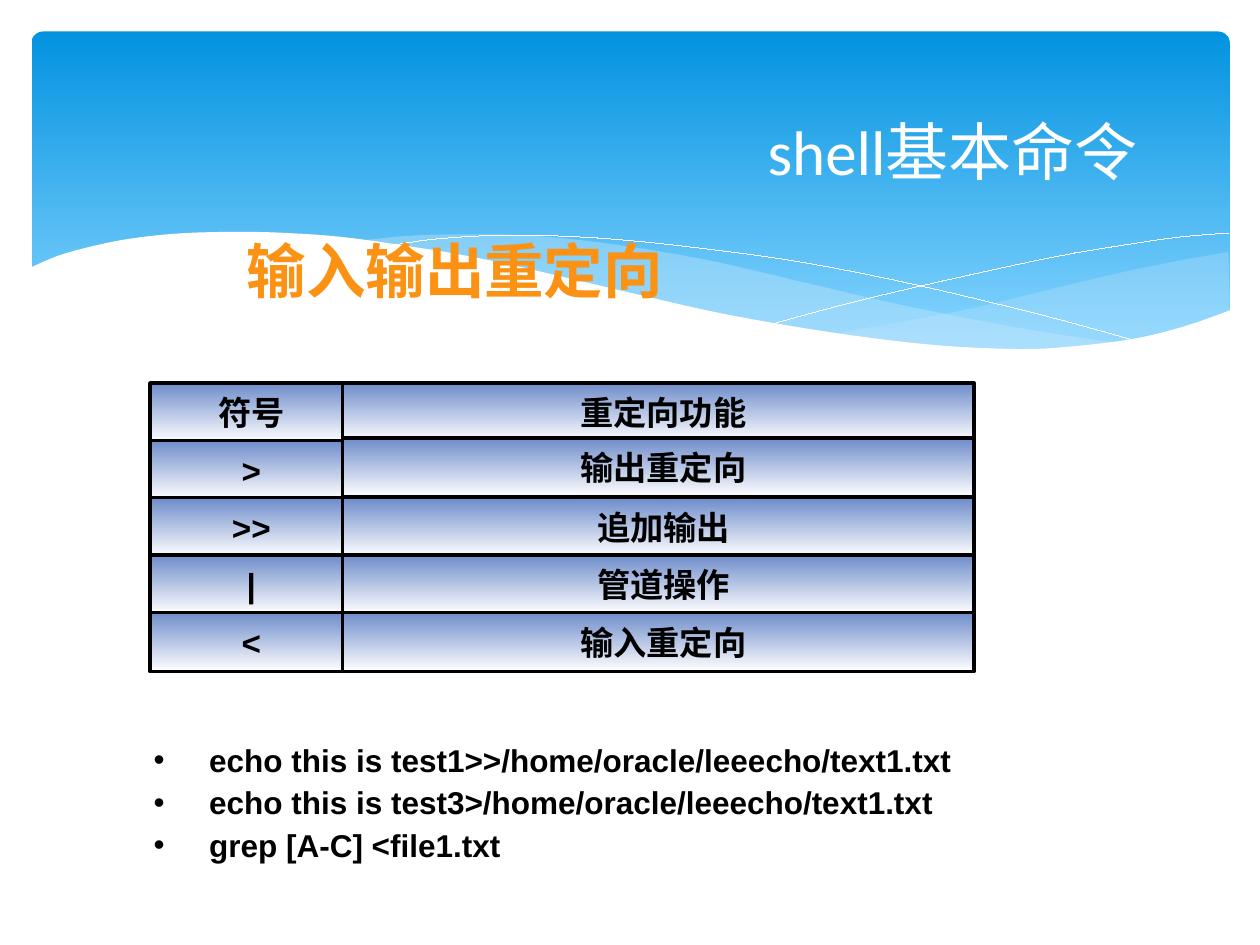
from dataclasses import dataclass

from lxml.etree import SubElement
from pptx import Presentation
from pptx.dml.color import RGBColor
from pptx.dml.fill import FillFormat
from pptx.enum.shapes import MSO_SHAPE as Preset
from pptx.enum.text import MSO_ANCHOR as Anchor, PP_ALIGN as Align
from pptx.oxml.ns import qn
from pptx.util import Inches, Pt

Point = tuple[float, float]


@dataclass
class Wave:
    """A smooth crest, closed by straight corners when it has a fill."""
    crests: list[list[Point]]
    corners: list[Point]
    fill: str | None = None
    opacity: int = 100


@dataclass
class Redirection:
    symbol: str
    purpose: str
    purpose_shift: float = 0


WAVES = [
    Wave([[(9.75, 2), (9.35, 2.07), (8.91, 2.16), (8.32, 2.3), (7.79, 2.43),
           (7.29, 2.53), (6.61, 2.65)],
          [(6.61, 2.65), (7.05, 2.71), (7.57, 2.76), (8.14, 2.78), (8.63, 2.75),
           (9.05, 2.69), (9.42, 2.59), (9.76, 2.47)]],
         [], "C6E7FC", 29),
    Wave([[(8.93, 2.73), (8.37, 2.65), (7.75, 2.54), (7.06, 2.4), (6.29, 2.22),
           (5.69, 2.08), (5.14, 1.98), (4.64, 1.91), (4.2, 1.87), (3.8, 1.86),
           (3.28, 1.87), (2.86, 1.91)],
          [(2.86, 1.91), (3.42, 1.99), (4.04, 2.11), (4.91, 2.32), (5.66, 2.48),
           (6.34, 2.61), (6.95, 2.7), (7.48, 2.76), (8.07, 2.79), (8.57, 2.77),
           (8.93, 2.73)]],
         [], "C6E7FC", 40),
    Wave([[(3.09, 1.95), (3.43, 1.9), (3.87, 1.87), (4.33, 1.87), (4.89, 1.9),
           (5.56, 1.97), (6.36, 2.08), (7.27, 2.26), (8.31, 2.51), (9.07, 2.72)]], []),
    Wave([[(6.13, 2.57), (6.72, 2.41), (7.48, 2.23), (8.36, 2.04), (8.95, 1.94),
           (9.37, 1.88), (9.75, 1.85)]], []),
    Wave([[(9.77, 2.46), (9.4, 2.59), (8.99, 2.69), (8.5, 2.75), (8.09, 2.77),
           (7.44, 2.74), (6.68, 2.65), (5.79, 2.5), (5.03, 2.33), (4.18, 2.13),
           (3.65, 2.02), (3.15, 1.94), (2.71, 1.88), (2.3, 1.85), (1.93, 1.84),
           (1.46, 1.85), (1.06, 1.89), (0.75, 1.95), (0.46, 2.03), (0.23, 2.13)]],
         [(0.23, 3.29), (9.77, 3.29)], "FFFFFF"),
]

REDIRECTIONS = [
    Redirection("符号", "重定向功能"),
    Redirection(">", "输出重定向", purpose_shift=-0.02),
    Redirection(">>", "追加输出"),
    Redirection("|", "管道操作"),
    Redirection("<", "输入重定向"),
]
GRID_LEFT, GRID_TOP = 1.19, 3.04
SYMBOL_WIDTH, PURPOSE_WIDTH = 1.53, 5.01
ROW_PITCH = 1.82 / (len(REDIRECTIONS) - 1)
BOX_HEIGHT = 0.47

EXAMPLES = [
    "echo this is test1>>/home/oracle/leeecho/text1.txt",
    "echo this is test3>/home/oracle/leeecho/text1.txt",
    "grep [A-C] <file1.txt",
]


def rgb(color: str) -> RGBColor:
    return RGBColor.from_string(color)


def fill_downwards(fill: FillFormat, top: str, bottom: str, end: float = 1) -> None:
    """Apply a vertical gradient that reaches the bottom colour at end."""
    fill.gradient()
    fill.gradient_angle = 270
    first, last = fill.gradient_stops
    first.color.rgb, last.color.rgb = rgb(top), rgb(bottom)
    first.position, last.position = 0, end


def style(paragraph, size: float, font: str, color: str, bold: bool = False) -> None:
    for run in paragraph.runs:
        run.font.size, run.font.name, run.font.bold = Pt(size), font, bold
        run.font.color.rgb = rgb(color)


def clear_insets(frame) -> None:
    frame.margin_left = frame.margin_right = frame.margin_top = frame.margin_bottom = 0


def smooth_curve(knots: list[Point], steps: int = 4) -> list[Point]:
    """Interpolate the knots with a Catmull-Rom spline."""
    padded = [knots[0], *knots, knots[-1]]
    curve = [knots[0]]
    for a, b, c, d in zip(padded, padded[1:], padded[2:], padded[3:]):
        for step in range(1, steps + 1):
            t = step / steps
            curve.append(tuple(
                0.5 * (2 * q + (r - p) * t + (2 * p - 5 * q + 4 * r - s) * t ** 2
                       + (3 * q - p - 3 * r + s) * t ** 3)
                for p, q, r, s in zip(a, b, c, d)))
    return curve


def draw_wave(shapes, wave: Wave) -> None:
    outline = [point for crest in wave.crests for point in smooth_curve(crest)]
    start, *rest = [(Inches(x), Inches(y)) for x, y in outline + wave.corners]
    builder = shapes.build_freeform(*start)
    builder.add_line_segments(rest, close=wave.fill is not None)
    shape = builder.convert_to_shape()
    shape.shadow.inherit = False
    if wave.fill is None:
        shape.fill.background()
        shape.line.color.rgb = rgb("FFFFFF")
        shape.line.width = Pt(0)
        shape.line._ln.set("w", "0")
        return
    shape.line.fill.background()
    shape.fill.solid()
    shape.fill.fore_color.rgb = rgb(wave.fill)
    if wave.opacity < 100:
        color = shape._element.spPr.find(qn("a:solidFill")).find(qn("a:srgbClr"))
        SubElement(color, qn("a:alpha"), val=str(wave.opacity * 1000))


def draw_banner(shapes) -> None:
    sky = shapes.add_shape(Preset.ROUNDED_RECTANGLE, Inches(0.25), Inches(0.25),
                           Inches(9.51), Inches(2.7))
    sky.adjustments[0] = 0.034
    sky.shadow.inherit = False
    sky.line.fill.background()
    fill_downwards(sky.fill, "0293E0", "83D3FE", 0.9)
    for wave in WAVES:
        draw_wave(shapes, wave)


def place_title(slide) -> None:
    title = slide.shapes.title
    slide.shapes._spTree.append(title._element)  # in front of the banner
    title.left, title.top = Inches(5.39), Inches(0.84)
    title.width, title.height = Inches(4.11), Inches(0.71)
    frame = title.text_frame
    frame.text = "shell基本命令"
    frame.margin_left = Inches(0.33)
    frame.vertical_anchor = Anchor.MIDDLE
    frame.paragraphs[0].alignment = Align.CENTER
    style(frame.paragraphs[0], 36, "Calibri", "FFFFFF")


def add_text_frame(shapes, left: float, top: float, width: float, height: float):
    """Add a wrapping text box without insets and return its frame."""
    frame = shapes.add_textbox(Inches(left), Inches(top),
                               Inches(width), Inches(height)).text_frame
    frame.word_wrap = True
    clear_insets(frame)
    return frame


def draw_subtitle(shapes) -> None:
    frame = add_text_frame(shapes, 1.85, 1.86, 3.54, 0.57)
    frame.margin_left = Inches(0.11)
    frame.text = "输入输出重定向"
    style(frame.paragraphs[0], 34, "Lato", "FB9214", bold=True)


def draw_examples(shapes) -> None:
    frame = add_text_frame(shapes, 1.22, 5.88, 7.01, 1.34)
    frame.text = "\n".join(EXAMPLES)
    for paragraph in frame.paragraphs:
        paragraph.space_after = Pt(2.7)
        properties = paragraph._p.get_or_add_pPr()
        properties.set("marL", str(Inches(0.44)))
        properties.set("indent", str(-Inches(0.44)))
        SubElement(properties, qn("a:buFont"), typeface="Arial")
        SubElement(properties, qn("a:buChar"), char="•")
        style(paragraph, 18, "Arial", "000000", bold=True)


def draw_box(shapes, text: str, left: float, top: float, width: float) -> None:
    box = shapes.add_shape(Preset.RECTANGLE, Inches(left), Inches(top),
                           Inches(width), Inches(BOX_HEIGHT))
    box.shadow.inherit = False
    fill_downwards(box.fill, "6E8CCA", "FFFFFF")
    box.line.color.rgb = rgb("000000")
    box.line.width = Pt(2)
    frame = box.text_frame
    frame.text = text
    clear_insets(frame)
    frame.margin_left = Inches(0.08)
    frame.vertical_anchor = Anchor.MIDDLE
    frame.paragraphs[0].alignment = Align.CENTER
    style(frame.paragraphs[0], 19, "Arial", "000000", bold=True)


def draw_redirections(shapes) -> None:
    for row, entry in enumerate(REDIRECTIONS):
        top = GRID_TOP + row * ROW_PITCH
        draw_box(shapes, entry.symbol, GRID_LEFT, top, SYMBOL_WIDTH)
        draw_box(shapes, entry.purpose, GRID_LEFT + SYMBOL_WIDTH,
                 top + entry.purpose_shift, PURPOSE_WIDTH)


def main() -> None:
    deck = Presentation()
    deck.slide_width, deck.slide_height = Inches(10), Inches(7.5)
    slide = deck.slides.add_slide(deck.slide_layouts[5])
    draw_banner(slide.shapes)
    place_title(slide)
    draw_subtitle(slide.shapes)
    draw_examples(slide.shapes)
    draw_redirections(slide.shapes)
    deck.save("out.pptx")


if __name__ == "__main__":
    main()
